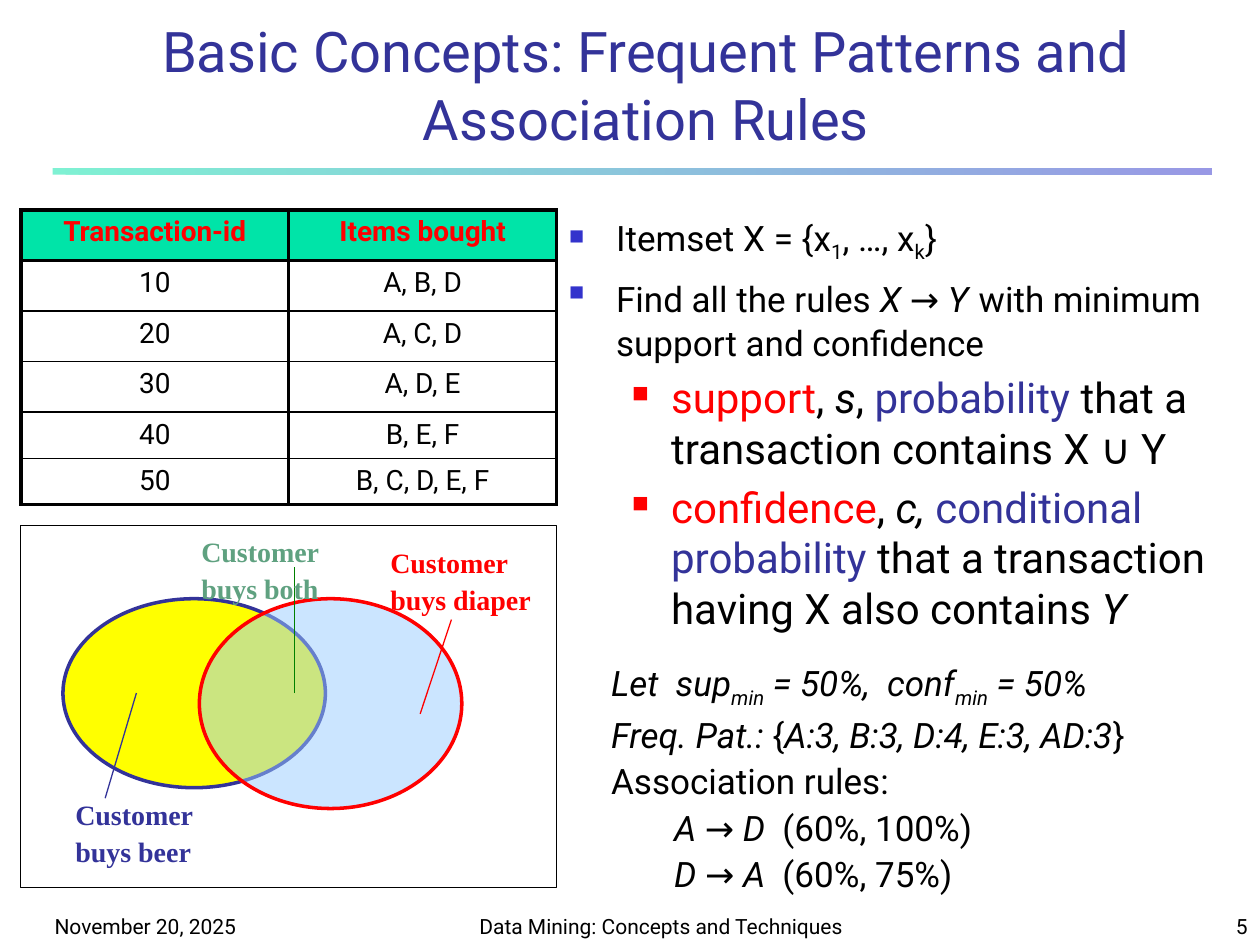
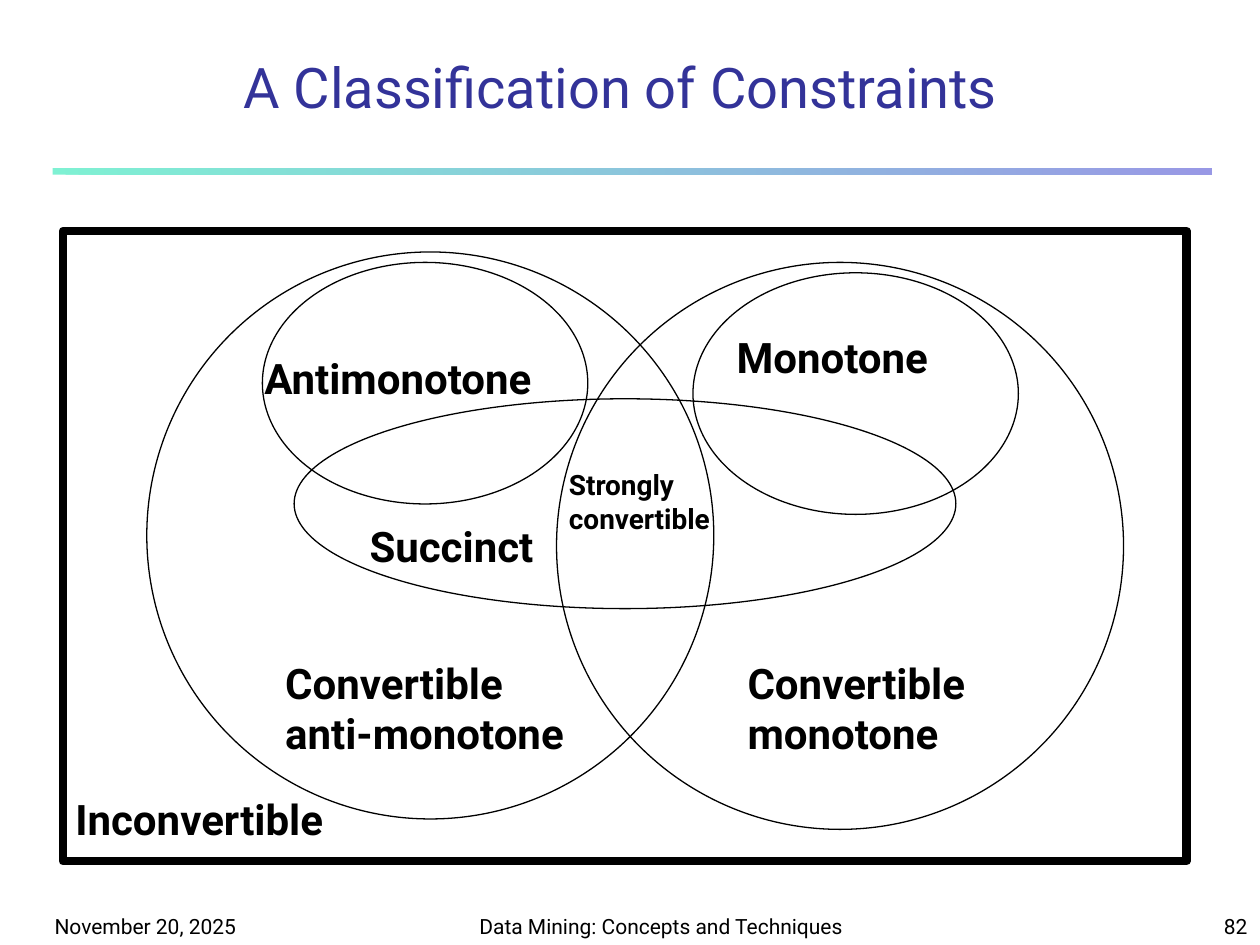
from dataclasses import dataclass

from lxml import etree
from pptx import Presentation
from pptx import util as u
from pptx.dml.color import RGBColor
from pptx.enum import shapes, text
from pptx.oxml.ns import qn


@dataclass(frozen=True)
class Theme:
    font: str = "Roboto"
    label_font: str = "Times New Roman"
    black: str = "000000"
    navy: str = "333399"
    blue: str = "3333CC"
    mint: str = "00E4A8"
    red: str = "FF0000"
    yellow: str = "FFFF00"
    sky: str = "99CCFF"
    green: str = "008000"
    sage: str = "5FA180"
    title: int = 32
    large: int = 24
    body: int = 20
    small: int = 16
    footer: int = 12
    thin: float = 0.75
    rule: float = 1
    outline: float = 2
    border: float = 2.25
    heavy: float = 5


THEME = Theme()


@dataclass
class Run:
    words: str
    italic: bool = False
    sub: bool = False
    color: str = None
    size: int = None


@dataclass
class Para:
    runs: list
    size: int = THEME.body
    bullet: tuple = None
    margin: float = 0
    hanging: float = 0
    before: float = 0
    italic: bool = None


def rgb(value):
    return RGBColor.from_string(value)


def add_xml(parent, tag, **attributes):
    return etree.SubElement(parent, qn(tag), attributes)


def cm(*lengths):
    return [u.Cm(length) for length in lengths]


class Deck:
    def __init__(self, theme):
        self.theme = theme
        self.prs = Presentation()
        self.prs.slide_width, self.prs.slide_height = cm(25.4, 19.05)
        self.slide = None

    def new_slide(self, title, box, number):
        t = self.theme
        self.slide = self.prs.slides.add_slide(self.prs.slide_layouts[5])
        self.band()
        for place, words, align in (
            ((0.85, 17.99, 5.29, 1.06), "November 20, 2025", text.PP_ALIGN.LEFT),
            ((9.31, 17.99, 8.04, 1.06), "Data Mining: Concepts and Techniques",
             text.PP_ALIGN.CENTER),
            ((20.11, 17.99, 5.29, 1.06), str(number), text.PP_ALIGN.RIGHT),
        ):
            frame = self.text(place, [words], t.footer, align=align)
            frame.vertical_anchor = text.MSO_ANCHOR.BOTTOM
        heading = self.slide.shapes.title
        heading.left, heading.top, heading.width, heading.height = cm(*box)
        frame = heading.text_frame
        frame.text = title
        frame.word_wrap = True
        frame.auto_size = text.MSO_AUTO_SIZE.NONE
        frame.vertical_anchor = text.MSO_ANCHOR.BOTTOM
        frame.paragraphs[0].alignment = text.PP_ALIGN.CENTER
        self.style(frame.paragraphs[0].font, t.title, t.navy)

    def style(self, font, size, color, bold=False, name=None):
        font.name = name or self.theme.font
        font.size = u.Pt(size)
        font.bold = bold
        font.color.rgb = rgb(color)

    def translucent(self, shape):
        for color in shape.element.iter(qn("a:srgbClr")):
            add_xml(color, "a:alpha", val="50000")

    def band(self):
        shape = self.slide.shapes.add_shape(
            shapes.MSO_SHAPE.RECTANGLE, *cm(1.06, 3.39, 23.37, 0.13))
        shape.shadow.inherit = False
        shape.line.fill.background()
        shape.fill.gradient()
        shape.fill.gradient_angle = 0
        for stop, color in zip(shape.fill.gradient_stops,
                               (self.theme.mint, self.theme.blue)):
            stop.color.rgb = rgb(color)
        self.translucent(shape)

    def shape(self, kind, box, line, width, fill=None, translucent=False):
        shape = self.slide.shapes.add_shape(kind, *cm(*box))
        shape.shadow.inherit = False
        if fill:
            shape.fill.solid()
            shape.fill.fore_color.rgb = rgb(fill)
        else:
            shape.fill.background()
        if translucent:
            self.translucent(shape)
        shape.line.color.rgb = rgb(line)
        shape.line.width = u.Pt(width)

    def ellipse(self, box, line, width, **fill):
        self.shape(shapes.MSO_SHAPE.OVAL, box, line, width, **fill)

    def frame(self, box, width):
        self.shape(shapes.MSO_SHAPE.RECTANGLE, box, self.theme.black, width)

    def pointer(self, start, end, color):
        line = self.slide.shapes.add_connector(
            shapes.MSO_CONNECTOR.STRAIGHT, *cm(*start, *end))
        line.line.color.rgb = rgb(color)
        line.line.width = u.Pt(self.theme.thin)
        add_xml(line.element.spPr, "a:effectLst")

    def text(self, box, lines, size, color=None, bold=False, name=None,
             align=None, spacing=None):
        frame = self.slide.shapes.add_textbox(*cm(*box)).text_frame
        frame.word_wrap = True
        for index, words in enumerate(lines):
            paragraph = frame.add_paragraph() if index else frame.paragraphs[0]
            paragraph.text = words
            paragraph.alignment = align
            paragraph.line_spacing = spacing
            self.style(paragraph.font, size, color or self.theme.black, bold, name)
        return frame

    def rich_text(self, box, paras, spacing=None):
        frame = self.slide.shapes.add_textbox(*cm(*box)).text_frame
        frame.word_wrap = True
        for index, para in enumerate(paras):
            paragraph = frame.add_paragraph() if index else frame.paragraphs[0]
            paragraph.line_spacing = spacing
            if index and para.before:
                paragraph.space_before = u.Pt(para.before)
            props = paragraph._p.get_or_add_pPr()
            props.set("marL", str(u.Cm(para.margin)))
            props.set("indent", str(u.Cm(-para.hanging)))
            if para.bullet:
                color, percent = para.bullet
                add_xml(add_xml(props, "a:buClr"), "a:srgbClr", val=color)
                add_xml(props, "a:buSzPct", val=str(percent * 1000))
                add_xml(props, "a:buChar", char="■")
            self.style(paragraph.font, para.size, self.theme.black)
            paragraph.font.italic = para.italic
            for part in para.runs:
                self.run(paragraph, part if isinstance(part, Run) else Run(part))

    def run(self, paragraph, part):
        run = paragraph.add_run()
        run.text = part.words
        if part.italic:
            run.font.italic = True
        if part.color:
            run.font.color.rgb = rgb(part.color)
        if part.size:
            run.font.size = u.Pt(part.size)
        if part.sub:
            run._r.get_or_add_rPr().set("baseline", "-25000")

    def table(self, box, rows, heights):
        t = self.theme
        table = self.slide.shapes.add_table(len(rows), len(rows[0]), *cm(*box)).table
        table.first_row = table.horz_banding = False
        for r, (values, height) in enumerate(zip(rows, heights)):
            table.rows[r].height = u.Cm(height)
            for c, value in enumerate(values):
                cell = table.cell(r, c)
                cell.text = value
                paragraph = cell.text_frame.paragraphs[0]
                paragraph.alignment = text.PP_ALIGN.CENTER
                header = r == 0
                self.style(paragraph.font, t.small, t.red if header else t.black, header)
                if header:
                    cell.fill.solid()
                    cell.fill.fore_color.rgb = rgb(t.mint)
                else:
                    cell.fill.background()
                top = t.border if r < 2 else t.rule
                bottom = t.border if r in (0, len(rows) - 1) else t.rule
                self.borders(cell, L=t.border, R=t.border, T=top, B=bottom)

    def borders(self, cell, **widths):
        props = cell._tc.get_or_add_tcPr()
        for index, (side, width) in enumerate(widths.items()):
            line = add_xml(props, f"a:ln{side}", w=str(u.Pt(width)))
            add_xml(add_xml(line, "a:solidFill"), "a:srgbClr", val=self.theme.black)
            props.insert(index, line)


def association_rules(deck):
    t = deck.theme
    deck.new_slide("Basic Concepts: Frequent Patterns and Association Rules",
                   (1.91, 0.64, 22.23, 2.54), 5)

    topic = dict(bullet=(t.blue, 60), margin=0.95, hanging=0.95, before=4)
    measure = dict(size=t.large, bullet=(t.red, 55), margin=2.06, hanging=0.79, before=5)
    deck.rich_text((11.22, 4.23, 13.76, 8.89), [
        Para(["Itemset X = {x", Run("1", sub=True), ", …, x", Run("k", sub=True), "}"],
             **topic),
        Para(["Find all the rules ", Run("X ", italic=True), "→ ", Run("Y", italic=True),
              Run(" ", size=t.large), "with minimum support and confidence"], **topic),
        Para([Run("support", color=t.red), ", ", Run("s", italic=True), ", ",
              Run("probability", color=t.navy),
              " that a transaction contains X ∪ Y"], **measure),
        Para([Run("confidence", color=t.red), ", ", Run("c, ", italic=True),
              Run("conditional probability", color=t.navy),
              " that a transaction having X also contains ", Run("Y", italic=True)],
             **measure),
    ])

    rules = [
        Para([Run(f"{cause} ", italic=True), "→", Run(f" {effect}  ", italic=True), scores],
             margin=1.27)
        for cause, effect, scores in (("A", "D", "(60%, 100%)"), ("D", "A", "(60%, 75%)"))
    ]
    deck.rich_text((12.07, 13.12, 12.7, 4.66), [
        Para(["Let  sup", Run("min", sub=True), " = 50%,  conf", Run("min", sub=True),
              " = 50%"], italic=True),
        Para([Run("Freq. Pat.: ", italic=True), "{",
              Run("A:3, B:3, D:4, E:3, AD:3", italic=True), "}"]),
        Para(["Association rules:"]),
        *rules,
    ], spacing=1.1)

    deck.ellipse((1.27, 12.07, 5.29, 3.81), t.navy, t.outline, fill=t.yellow)
    deck.ellipse((4.02, 12.07, 5.29, 4.23), t.red, t.outline, fill=t.sky, translucent=True)
    deck.pointer((2.75, 13.97), (2.12, 16.09), t.navy)
    deck.pointer((8.47, 14.39), (9.1, 12.49), t.red)
    deck.pointer((5.93, 13.97), (5.93, 11.43), t.green)
    for left, top, purchase, color in (
        (7.62, 10.8, "buys diaper", t.red),
        (3.81, 10.59, "buys both", t.sage),
        (1.27, 15.88, "buys beer", t.navy),
    ):
        deck.text((left, top, 3.6, 1.76), ["Customer", purchase], t.small, color,
                  bold=True, name=t.label_font, spacing=1.1)
    deck.frame((0.42, 10.59, 10.8, 7.31), t.thin)

    deck.table((0.42, 4.23, 10.8, 5.94), [
        ("Transaction-id", "Items bought"),
        ("10", "A, B, D"),
        ("20", "A, C, D"),
        ("30", "A, D, E"),
        ("40", "B, E, F"),
        ("50", "B, C, D, E, F"),
    ], [1.02] * 4 + [0.93] * 2)


def constraint_classes(deck):
    t = deck.theme
    deck.new_slide("A Classification of Constraints", (1.69, 0.85, 21.64, 1.69), 82)
    deck.frame((1.27, 4.66, 22.65, 12.7), t.heavy)
    for region in (
        (2.96, 5.08, 11.43, 11.43),
        (11.22, 5.29, 11.43, 11.43),
        (5.93, 8.04, 13.34, 4.23),
        (13.97, 5.5, 6.56, 4.87),
        (5.29, 5.29, 6.56, 4.87),
    ):
        deck.ellipse(region, t.black, t.thin)
    for box, lines, size in (
        ((5.5, 13.12, 6.86, 2.29), ["Convertible", "anti-monotone"], t.large),
        ((14.82, 13.12, 5.4, 2.29), ["Convertible", "monotone"], t.large),
        ((11.22, 9.31, 4.23, 1.63), ["Strongly", "convertible"], t.small),
        ((1.27, 15.88, 6.22, 1.27), ["Inconvertible"], t.large),
        ((7.2, 10.37, 4.09, 1.27), ["Succinct"], t.large),
        ((5.08, 6.99, 6.56, 1.27), ["Antimonotone"], t.large),
        ((14.6, 6.56, 4.78, 1.27), ["Monotone"], t.large),
    ):
        deck.text(box, lines, size, bold=True)


def main():
    deck = Deck(THEME)
    association_rules(deck)
    constraint_classes(deck)
    deck.prs.save("out.pptx")


if __name__ == "__main__":
    main()
